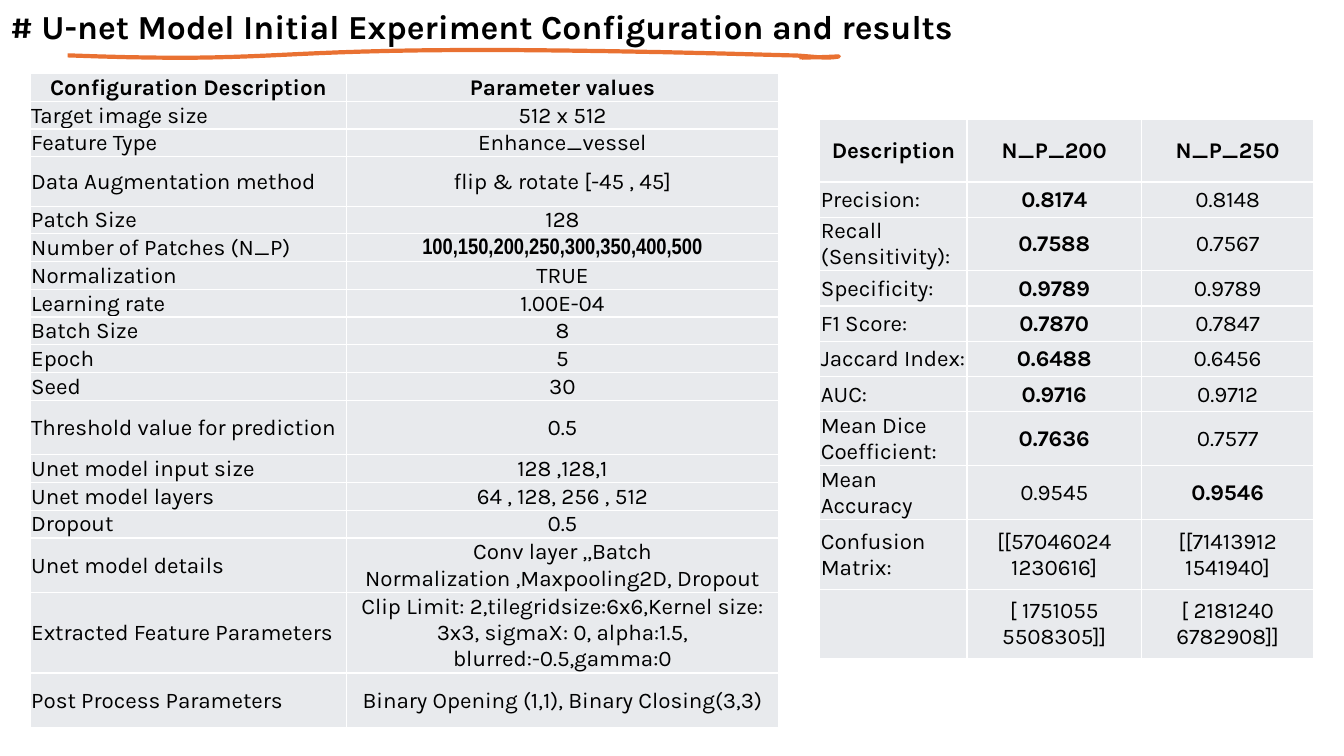
from dataclasses import dataclass
from lxml.etree import SubElement
from pptx import Presentation
from pptx.dml.color import RGBColor
from pptx.enum.text import MSO_ANCHOR, PP_ALIGN
from pptx.oxml.ns import qn
from pptx.util import Inches, Pt


@dataclass(frozen=True)
class Theme:
    text: str = "000000"
    cell: str = "E8EAED"
    border: str = "FFFFFF"
    accent: str = "E97132"
    font: str = "Karla"
    narrow_font: str = "Arial Narrow"
    title_size: int = 24
    table_size: int = 16
    border_width: int = 1
    stroke_width: int = 3


class SlideBuilder:
    """Places elements by percentages of the slide's width and height."""

    def __init__(self, presentation, theme):
        self.presentation = presentation
        self.theme = theme
        self.slide = presentation.slides.add_slide(presentation.slide_layouts[5])

    def x(self, share):
        return round(self.presentation.slide_width * share / 100)

    def y(self, share):
        return round(self.presentation.slide_height * share / 100)

    def set_text(self, text_frame, text, alignment, **formats):
        paragraph = text_frame.paragraphs[0]
        paragraph.alignment = alignment
        for index, line in enumerate(text.split("\n")):
            if index:
                paragraph.add_line_break()
            run = paragraph.add_run()
            run.text = line
            values = {"name": self.theme.font, "bold": False} | formats
            for name, value in values.items():
                setattr(run.font, name, value)
            run.font.color.rgb = RGBColor.from_string(self.theme.text)

    def title(self, text, left, top, width, height):
        shape = self.slide.shapes.title
        shape.left, shape.top = self.x(left), self.y(top)
        shape.width, shape.height = self.x(width), self.y(height)
        shape.text_frame.word_wrap = True
        shape.text_frame.vertical_anchor = MSO_ANCHOR.MIDDLE
        self.set_text(shape.text_frame, text, PP_ALIGN.LEFT,
                      size=Pt(self.theme.title_size), bold=True)

    def stroke(self, start, curves, steps=24):
        points, origin = [], start
        for first, second, end in curves:
            for step in range(1, steps + 1):
                t = step / steps
                weights = ((1 - t) ** 3, 3 * t * (1 - t) ** 2, 3 * t * t * (1 - t), t ** 3)
                corners = (origin, first, second, end)
                across, down = (sum(w * c[axis] for w, c in zip(weights, corners))
                                for axis in (0, 1))
                points.append((self.x(across), self.y(down)))
            origin = end
        builder = self.slide.shapes.build_freeform(self.x(start[0]), self.y(start[1]))
        builder.add_line_segments(points, close=False)
        shape = builder.convert_to_shape()
        shape.shadow.inherit = False
        shape.fill.background()
        shape.line.color.rgb = RGBColor.from_string(self.theme.accent)
        shape.line.width = Pt(self.theme.stroke_width)

    def border(self, cell):
        properties = cell._tc.get_or_add_tcPr()
        for index, side in enumerate(("lnL", "lnR", "lnT", "lnB")):
            line = properties.makeelement(qn(f"a:{side}"),
                                          {"w": str(Pt(self.theme.border_width))})
            fill = SubElement(line, qn("a:solidFill"))
            SubElement(fill, qn("a:srgbClr"), val=self.theme.border)
            properties.insert(index, line)

    def table(self, rows, left, top, columns, heights, special):
        frame = self.slide.shapes.add_table(
            len(rows), len(columns), self.x(left), self.y(top),
            self.x(sum(columns)), self.y(sum(heights)))
        table = frame.table
        table.first_row = table.horz_banding = False
        for column, width in zip(table.columns, columns):
            column.width = self.x(width)
        for row, height in zip(table.rows, heights):
            row.height = self.y(height)
        cell_format = {"margin_left": Inches(0.01), "margin_right": Inches(0.01),
                       "margin_top": Inches(0.01), "margin_bottom": 0,
                       "vertical_anchor": MSO_ANCHOR.MIDDLE}
        for r, values in enumerate(rows):
            for c, value in enumerate(values):
                cell = table.cell(r, c)
                for name, setting in cell_format.items():
                    setattr(cell, name, setting)
                cell.fill.solid()
                cell.fill.fore_color.rgb = RGBColor.from_string(self.theme.cell)
                self.border(cell)
                formats = {"size": Pt(self.theme.table_size), "bold": r == 0}
                alignment = PP_ALIGN.LEFT if r and c == 0 else PP_ALIGN.CENTER
                if value:
                    self.set_text(cell.text_frame, value, alignment,
                                  **(formats | special.get((r, c), {})))


# Row heights, as percentages of the slide's height
LINE, AUGMENTATION, DOUBLE, TRIPLE = 3.67, 6.53, 7.2, 10.67
HEADER, METRIC, RECALL, MATRIX = 8.27, 4.67, 6.4, 9.2

CONFIGURATION = [
    ("Configuration Description", "Parameter values", LINE),
    ("Target image size", "512 x 512", LINE),
    ("Feature Type", "Enhance_vessel", LINE),
    ("Data Augmentation method", "flip & rotate [-45 , 45]", AUGMENTATION),
    ("Patch Size", "128", LINE),
    ("Number of Patches (N_P)", "100,150,200,250,300,350,400,500", LINE),
    ("Normalization", "TRUE", LINE),
    ("Learning rate", "1.00E-04", LINE),
    ("Batch Size", "8", LINE),
    ("Epoch", "5", LINE),
    ("Seed", "30", LINE),
    ("Threshold value for prediction", "0.5", DOUBLE),
    ("Unet model input size", "128 ,128,1", LINE),
    ("Unet model layers", "64 , 128, 256 , 512", LINE),
    ("Dropout", "0.5", LINE),
    ("Unet model details",
     "Conv layer ,,Batch\nNormalization ,Maxpooling2D, Dropout", DOUBLE),
    ("Extracted Feature Parameters",
     "Clip Limit: 2,tilegridsize:6x6,Kernel size: 3x3, sigmaX: 0, alpha:1.5, "
     "blurred:-0.5,gamma:0", TRIPLE),
    ("Post Process Parameters", "Binary Opening (1,1), Binary Closing(3,3)", DOUBLE),
]
RESULTS = [
    ("Description", "N_P_200", "N_P_250", HEADER),
    ("Precision:", "0.8174", "0.8148", METRIC),
    ("Recall (Sensitivity):", "0.7588", "0.7567", RECALL),
    ("Specificity:", "0.9789", "0.9789", METRIC),
    ("F1 Score:", "0.7870", "0.7847", METRIC),
    ("Jaccard Index:", "0.6488", "0.6456", METRIC),
    ("AUC:", "0.9716", "0.9712", METRIC),
    ("Mean Dice Coefficient:", "0.7636", "0.7577", METRIC),
    ("Mean Accuracy", "0.9545", "0.9546", DOUBLE),
    ("Confusion Matrix:", "[[57046024 1230616]", "[[71413912 1541940]", MATRIX),
    ("", "[ 1751055 5508305]]", "[ 2181240 6782908]]", MATRIX),
]


def main():
    presentation = Presentation()
    presentation.slide_width, presentation.slide_height = Inches(13.33), Inches(7.5)
    theme = Theme()
    builder = SlideBuilder(presentation, theme)

    # Title
    builder.title("# U-net Model Initial Experiment Configuration and results",
                  0, 0.13, 73.9, 6.67)

    # Configuration table
    builder.table([row[:-1] for row in CONFIGURATION], 2.25, 9.73, (23.55, 32.1),
                  [row[-1] for row in CONFIGURATION],
                  {(5, 1): {"name": theme.narrow_font, "bold": True}})

    # Results table, with the better score of each metric in bold
    best_scores = {(row, 1): {"bold": True} for row in range(1, 8)}
    best_scores[8, 2] = {"bold": True}
    builder.table([row[:-1] for row in RESULTS], 61, 15.8, (10.95, 12.98, 12.83),
                  [row[-1] for row in RESULTS], best_scores)

    # Hand-drawn underline
    builder.stroke((5.03, 7.33), [
        ((25.13, 8.67), (17.1, 5.2), (58.74, 7.33)),
        ((60.09, 7.33), (61.29, 7.87), (62.42, 7.47)),
        ((59.41, 7.73), (59.64, 7.47), (59.64, 7.87)),
    ])

    presentation.save("out.pptx")


if __name__ == "__main__":
    main()
